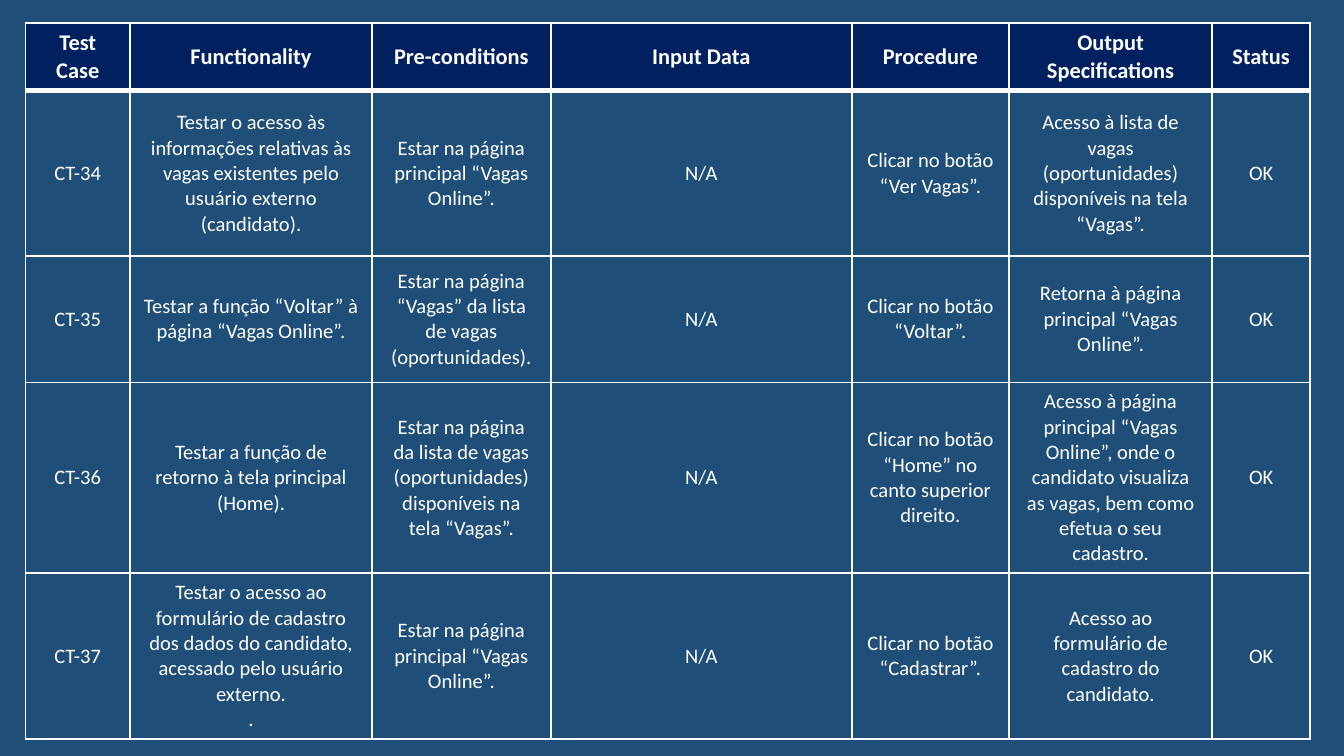
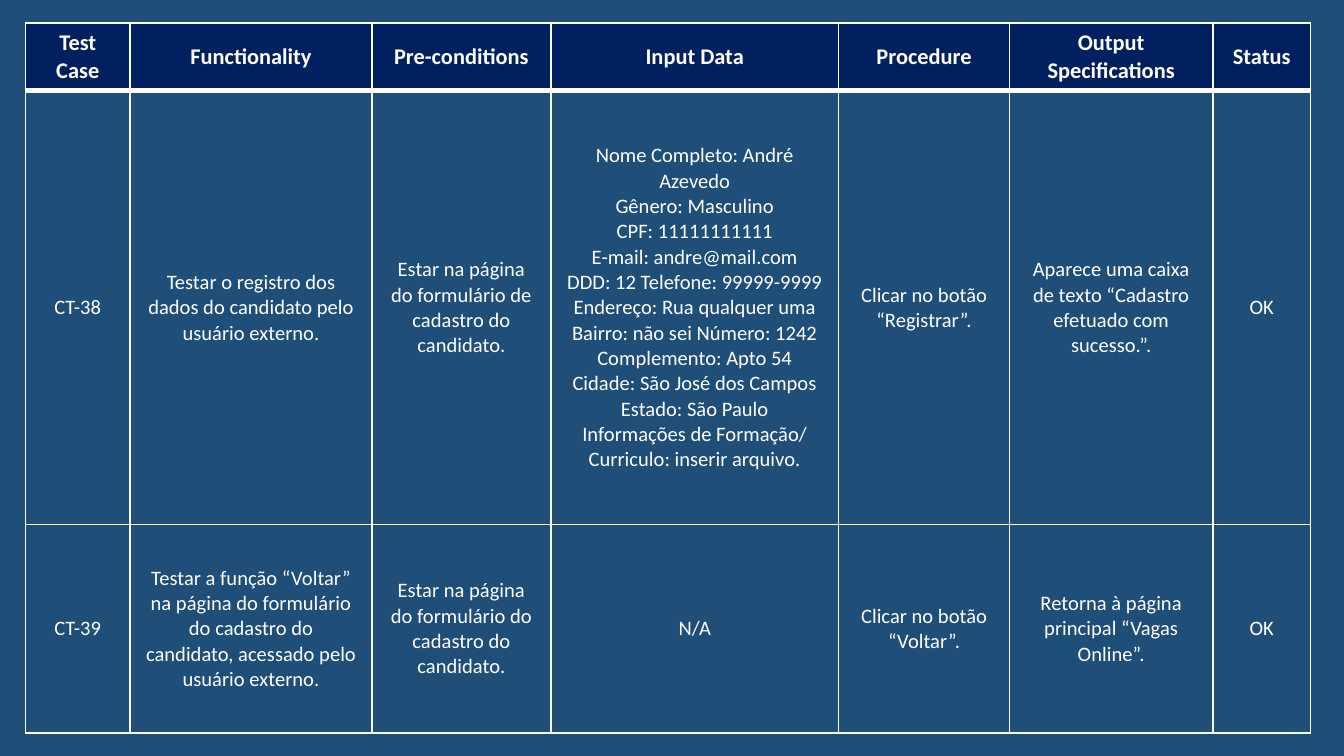
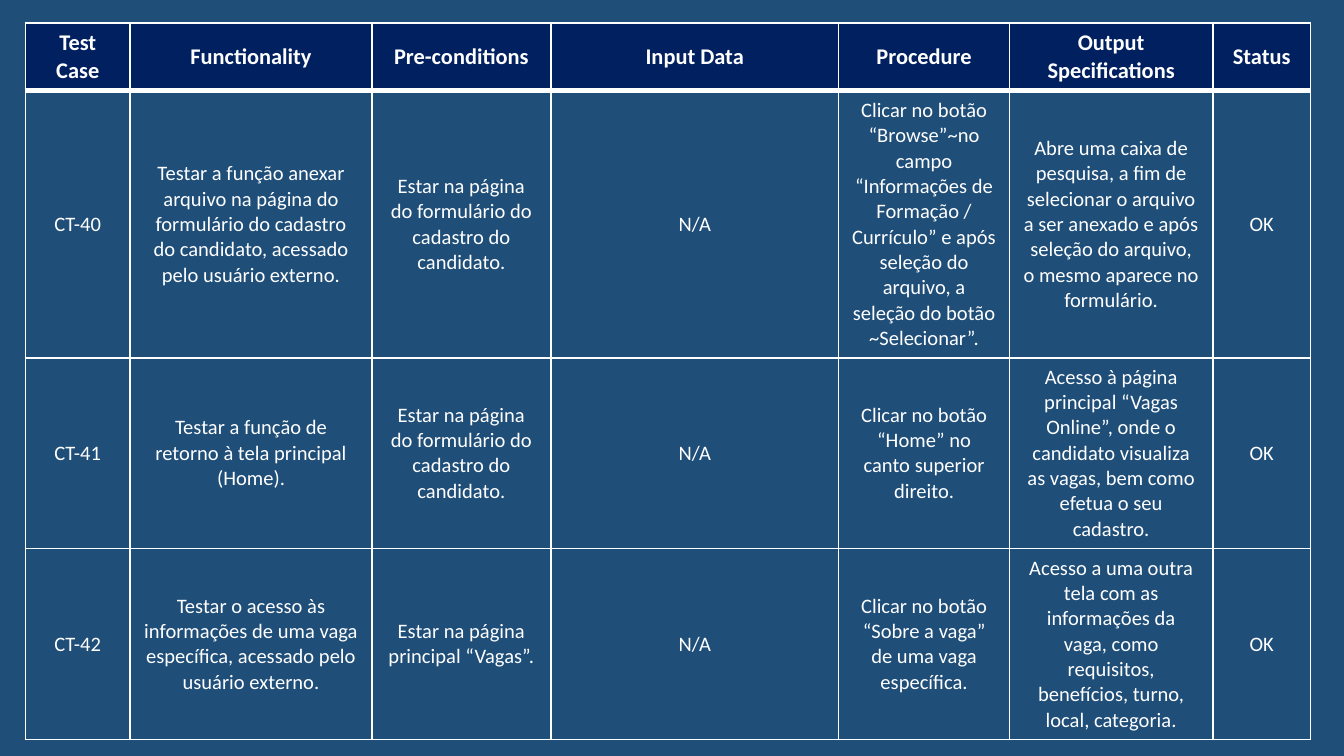
"""Build three slides of test case tables for a job vacancy site."""
from dataclasses import dataclass

from lxml.etree import SubElement
from pptx import Presentation
from pptx.dml.color import RGBColor
from pptx.enum.text import MSO_ANCHOR, PP_ALIGN
from pptx.oxml.ns import qn
from pptx.util import Cm, Pt

HEADINGS = ["Test Case", "Functionality", "Pre-conditions", "Input Data",
            "Procedure", "Output Specifications", "Status"]
HEADER_HEIGHT = 1.04
WIDE_INPUT = [1.98, 4.57, 3.38, 5.69, 2.97, 3.84, 1.85]
WIDE_PROCEDURE = [1.98, 4.57, 3.38, 5.44, 3.23, 3.84, 1.85]

ON_MAIN_PAGE = "Estar na página principal “Vagas Online”."
ON_FORM = "Estar na página do formulário do cadastro do candidato."
TEST_HOME = "Testar a função de retorno à tela principal (Home)."
CLICK_HOME = "Clicar no botão “Home” no canto superior direito."
CLICK_BACK = "Clicar no botão “Voltar”."
BACK_TO_MAIN = "Retorna à página principal “Vagas Online”."
MAIN_PAGE_OPENS = ("Acesso à página principal “Vagas Online”, onde o candidato "
                   "visualiza as vagas, bem como efetua o seu cadastro.")
CANDIDATE_DATA = "\n".join([
    "Nome Completo: André Azevedo",
    "Gênero: Masculino",
    "CPF: 11111111111",
    "E-mail: andre@mail.com",
    "DDD: 12 Telefone: 99999-9999",
    "Endereço: Rua qualquer uma",
    "Bairro: não sei Número: 1242",
    "Complemento: Apto 54",
    "Cidade: São José dos Campos",
    "Estado: São Paulo",
    "Informações de Formação/ Curriculo: inserir arquivo.",
])


def color(value):
    return RGBColor.from_string(value)


@dataclass
class TestCase:
    number: int
    functionality: str
    condition: str
    procedure: str
    output: str
    height: float
    input_data: str = "N/A"

    def texts(self):
        return [f"CT-{self.number}", self.functionality, self.condition,
                self.input_data, self.procedure, self.output, "OK"]


class TestDeck:
    font = "Calibri"
    background = "1F4E79"
    header_fill = "002060"
    white = "FFFFFF"
    thin, thick = 1, 3

    def __init__(self):
        self.deck = Presentation()
        self.deck.slide_width, self.deck.slide_height = Cm(25.4), Cm(14.29)
        fill = self.deck.slide_master.background.fill
        fill.solid()
        fill.fore_color.rgb = color(self.background)
        self.page = None

    def add_page(self):
        self.page = self.deck.slides.add_slide(self.deck.slide_layouts[6])

    def add_borders(self, cell, top, bottom):
        properties = cell._tc.get_or_add_tcPr()
        widths = {"a:lnL": self.thin, "a:lnR": self.thin,
                  "a:lnT": top, "a:lnB": bottom}
        for side, width in widths.items():
            line = SubElement(properties, qn(side), w=str(Pt(width)))
            solid = SubElement(line, qn("a:solidFill"))
            SubElement(solid, qn("a:srgbClr"), val=self.white)

    def fill_cell(self, cell, text, row):
        header = row == 0
        self.add_borders(cell,
                         self.thick if row == 1 else self.thin,
                         self.thick if header else self.thin)
        if header:
            cell.fill.solid()
            cell.fill.fore_color.rgb = color(self.header_fill)
        else:
            cell.fill.background()
        cell.vertical_anchor = MSO_ANCHOR.MIDDLE
        cell.text_frame.text = text
        for paragraph in cell.text_frame.paragraphs:
            paragraph.alignment = PP_ALIGN.CENTER
            for span in paragraph.runs:
                span.font.name = self.font
                span.font.size = Pt(12 if header else 11)
                span.font.bold = header
                span.font.color.rgb = color(self.white)

    def add_test_table(self, cases, widths, height):
        frame = self.page.shapes.add_table(
            len(cases) + 1, len(HEADINGS),
            Cm(0.48), Cm(0.43), Cm(sum(widths)), Cm(height))
        table = frame.table
        table.horz_banding = False
        for column, width in zip(table.columns, widths):
            column.width = Cm(width)
        heights = [HEADER_HEIGHT] + [case.height for case in cases]
        for table_row, row_height in zip(table.rows, heights):
            table_row.height = Cm(row_height)
        frame.height = Cm(height)
        rows = [HEADINGS] + [case.texts() for case in cases]
        for row, texts in enumerate(rows):
            for column, text in enumerate(texts):
                self.fill_cell(table.cell(row, column), text, row)


VACANCY_CASES = [
    TestCase(34,
             "Testar o acesso às informações relativas às vagas existentes "
             "pelo usuário externo (candidato).",
             ON_MAIN_PAGE,
             "Clicar no botão “Ver Vagas”.",
             "Acesso à lista de vagas (oportunidades) disponíveis na tela “Vagas”.",
             3.12),
    TestCase(35,
             "Testar a função “Voltar” à página “Vagas Online”.",
             "Estar na página “Vagas” da lista de vagas (oportunidades).",
             CLICK_BACK, BACK_TO_MAIN, 2.39),
    TestCase(36, TEST_HOME,
             "Estar na página da lista de vagas (oportunidades) disponíveis "
             "na tela “Vagas”.",
             CLICK_HOME, MAIN_PAGE_OPENS, 2.87),
    TestCase(37,
             "Testar o acesso ao formulário de cadastro dos dados do candidato, "
             "acessado pelo usuário externo.\n.",
             ON_MAIN_PAGE,
             "Clicar no botão “Cadastrar”.",
             "Acesso ao formulário de cadastro do candidato.",
             2.87),
]

REGISTRATION_CASES = [
    TestCase(38,
             "Testar o registro dos dados do candidato pelo usuário externo.",
             "Estar na página do formulário de cadastro do candidato.",
             "Clicar no botão “Registrar”.",
             "Aparece uma caixa de texto “Cadastro efetuado com sucesso.”.",
             8.2, CANDIDATE_DATA),
    TestCase(39,
             "Testar a função “Voltar” na página do formulário do cadastro do "
             "candidato, acessado pelo usuário externo.",
             ON_FORM, CLICK_BACK, BACK_TO_MAIN, 3.94),
]

FORM_CASES = [
    TestCase(40,
             "Testar a função anexar arquivo na página do formulário do cadastro "
             "do candidato, acessado pelo usuário externo.",
             ON_FORM,
             "Clicar no botão “Browse”~no campo “Informações de Formação / "
             "Currículo” e após seleção do arquivo, a seleção do botão "
             "~Selecionar”.",
             "Abre uma caixa de pesquisa, a fim de selecionar o arquivo a ser "
             "anexado e após seleção do arquivo, o mesmo aparece no formulário.",
             3.05),
    TestCase(41, TEST_HOME, ON_FORM, CLICK_HOME, MAIN_PAGE_OPENS, 3.05),
    TestCase(42,
             "Testar o acesso às informações de uma vaga específica, acessado "
             "pelo usuário externo.",
             "Estar na página principal “Vagas”.",
             "Clicar no botão “Sobre a vaga” de uma vaga específica.",
             "Acesso a uma outra tela com as informações da vaga, como "
             "requisitos, benefícios, turno, local, categoria.",
             3.05),
]


def main():
    tests = TestDeck()
    for cases, widths, height in [
        (VACANCY_CASES, WIDE_INPUT, 13.36),
        (REGISTRATION_CASES, WIDE_PROCEDURE, 13.41),
        (FORM_CASES, WIDE_PROCEDURE, 13.21),
    ]:
        tests.add_page()
        tests.add_test_table(cases, widths, height)
    tests.deck.save("out.pptx")


if __name__ == "__main__":
    main()
